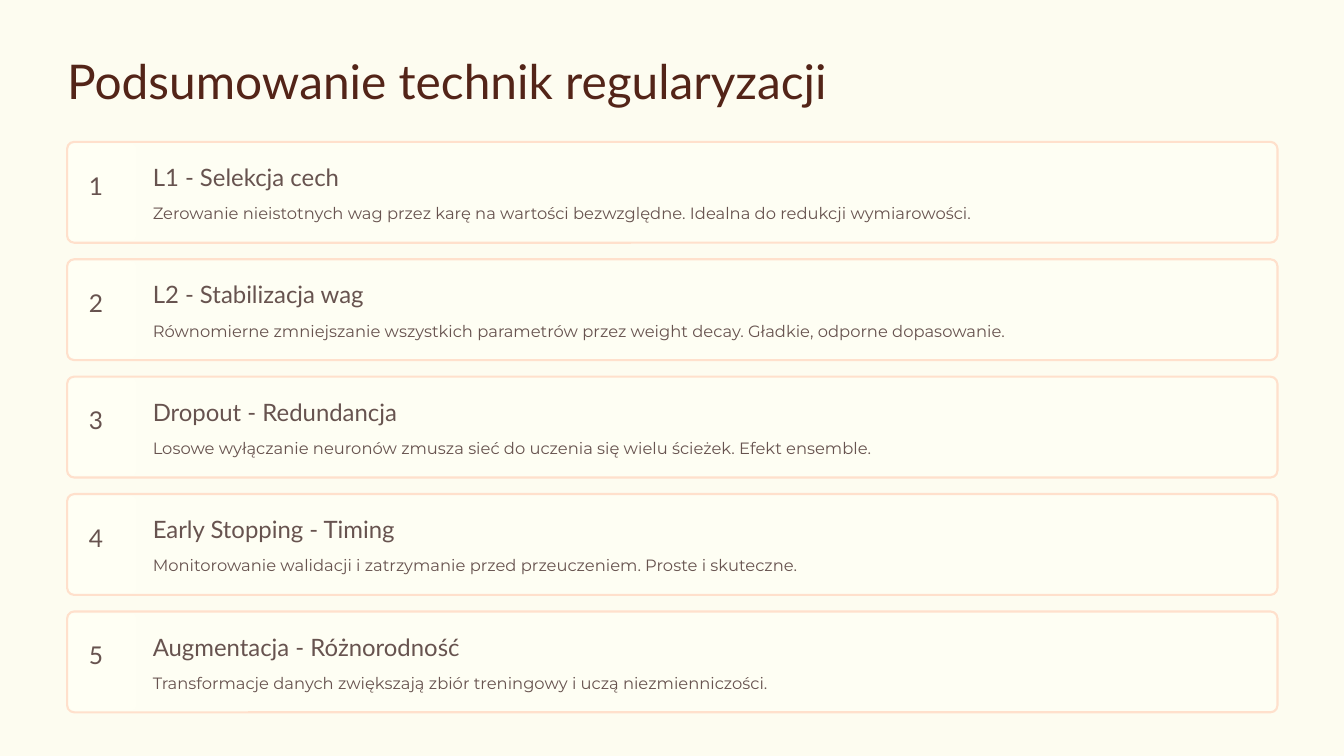
from pptx import Presentation
from pptx.dml.color import RGBColor
from pptx.enum.shapes import MSO_SHAPE
from pptx.oxml.ns import qn
from pptx.util import Cm, Pt
from lxml import etree

ROUNDED = MSO_SHAPE.ROUNDED_RECTANGLE
PAGE, CREAM, PEACH = "FDFCF0", "FFFFF4", "FFE0CC"
TITLE_COLOR, TEXT_COLOR = "532418", "67534F"
TECHNIQUES = [
    ("L1 - Selekcja cech",
     "Zerowanie nieistotnych wag przez karę na wartości bezwzględne. Idealna do redukcji wymiarowości."),
    ("L2 - Stabilizacja wag",
     "Równomierne zmniejszanie wszystkich parametrów przez weight decay. Gładkie, odporne dopasowanie."),
    ("Dropout - Redundancja",
     "Losowe wyłączanie neuronów zmusza sieć do uczenia się wielu ścieżek. Efekt ensemble."),
    ("Early Stopping - Timing",
     "Monitorowanie walidacji i zatrzymanie przed przeuczeniem. Proste i skuteczne."),
    ("Augmentacja - Różnorodność",
     "Transformacje danych zwiększają zbiór treningowy i uczą niezmienniczości."),
]


def rgb(value):
    return RGBColor.from_string(value)


def add_text(s, x, y, w, h, text, size, spacing, font="Lato", color=TEXT_COLOR):
    tf = s.shapes.add_textbox(Cm(x), Cm(y), Cm(w), Cm(h)).text_frame
    tf.margin_left = tf.margin_right = tf.margin_top = tf.margin_bottom = 0
    tf.word_wrap = False
    p = tf.paragraphs[0]
    p.text = text
    p.line_spacing = Pt(spacing)
    p.font.size = Pt(size)
    p.font.name = font
    p.font.color.rgb = rgb(color)


def add_panel(s, x, y, w, h, line=None, opacity=100):
    sp = s.shapes.add_shape(ROUNDED, Cm(x), Cm(y), Cm(w), Cm(h))
    sp.shadow.inherit = False
    sp.adjustments[0] = 0.07
    sp.fill.solid()
    sp.fill.fore_color.rgb = rgb(CREAM)
    if opacity < 100:
        color = sp.fill._xPr.find(qn("a:solidFill"))[0]
        etree.SubElement(color, qn("a:alpha"), val=str(opacity * 1000))
    if line:
        sp.line.color.rgb = rgb(line)
        sp.line.width = Pt(1.8)
    else:
        sp.line.fill.background()


def add_card(s, x, y, w, h, number, heading, description):
    add_panel(s, x, y, w, h, PEACH, 95)
    add_panel(s, x + 0.06, y + 0.06, 2.03, h - 0.12)
    add_text(s, x + 0.66, y + 1.02, 0.76, 0.99, str(number), 21, 21)
    add_text(s, x + 2.59, y + 0.56, 9.75, 0.94, heading, 20.5, 26.5)
    add_text(s, x + 2.59, y + 1.8, w - 3.17, 0.66, description, 14, 18.5, "Montserrat")


def add_cards(s, x, y, w, h, gap):
    card_h = (h - gap * (len(TECHNIQUES) - 1)) / len(TECHNIQUES)
    for i, (heading, description) in enumerate(TECHNIQUES):
        add_card(s, x, y + i * (card_h + gap), w, card_h, i + 1, heading, description)


def main():
    prs = Presentation()
    prs.slide_width, prs.slide_height = Cm(40.64), Cm(22.86)
    s = prs.slides.add_slide(prs.slide_layouts[6])
    s.background.fill.solid()
    s.background.fill.fore_color.rgb = rgb(PAGE)
    add_text(s, 2.03, 1.4, 23.72, 1.88, "Podsumowanie technik regularyzacji",
             41, 53.5, color=TITLE_COLOR)
    add_cards(s, 2.03, 4.29, 36.6, 17.25, 0.5)
    prs.save("out.pptx")


if __name__ == "__main__":
    main()
